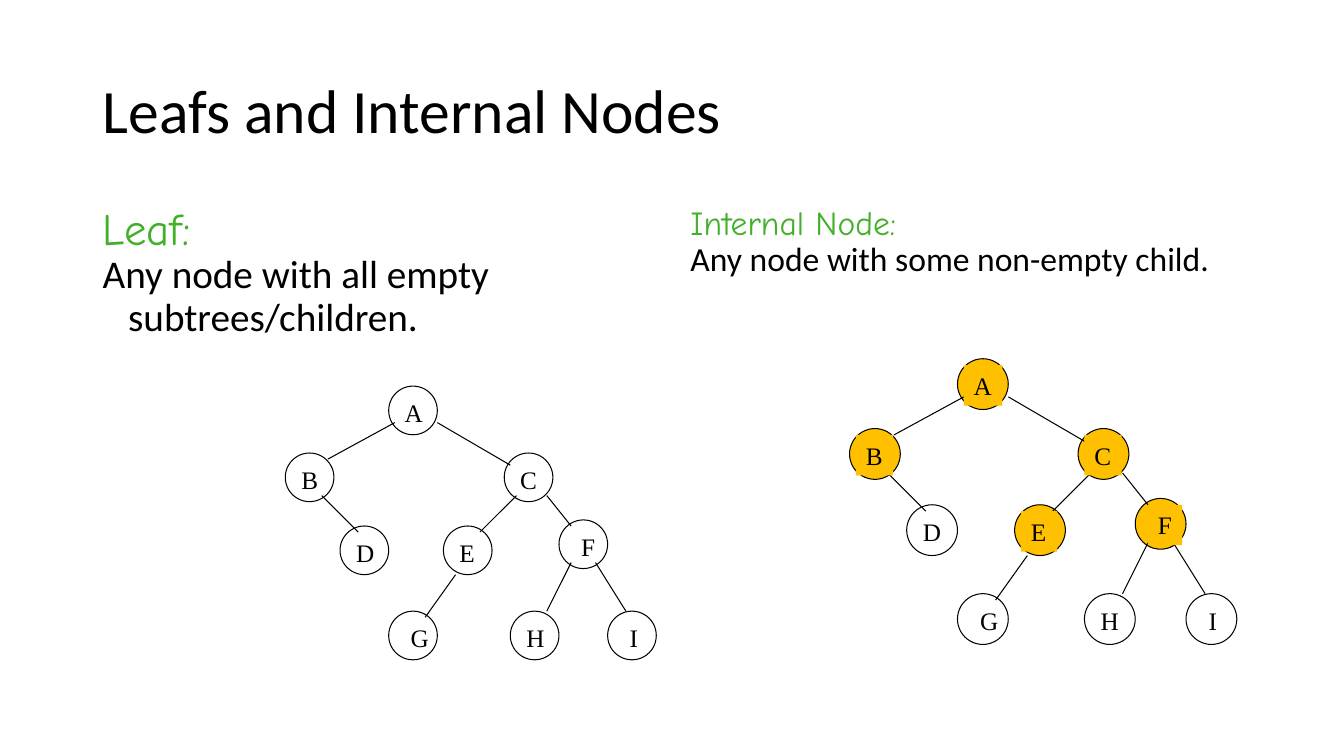
"""Build a slide comparing the leafs and the internal nodes of a binary tree."""
from lxml.etree import SubElement
from pptx import Presentation
from pptx.dml.color import RGBColor
from pptx.enum.shapes import MSO_CONNECTOR, MSO_SHAPE
from pptx.enum.text import MSO_ANCHOR, MSO_AUTO_SIZE, PP_ALIGN
from pptx.oxml.ns import qn
from pptx.util import Cm, Pt

BLACK = RGBColor(0, 0, 0)
GREEN = RGBColor(0x43, 0xB0, 0x2A)
AMBER = RGBColor(0xFF, 0xC0, 0x00)

TITLE = "Leafs and Internal Nodes"
DEFINITIONS = [
    (2.34, [("Leaf:", "Comic Neue", 32, GREEN),
            ("Any node with all empty subtrees/children.", "Calibri", 28, BLACK)]),
    (17.15, [("Internal Node:", "Comic Neue", 24, GREEN),
             ("Any node with some non-empty child.", "Calibri", 24, BLACK)]),
]

# Node positions and edge ends are grid steps from the tree's top left corner.
NODES = {
    "A": (17, 0), "E": (26, 23), "C": (36, 11), "G": (17, 37), "I": (53, 37),
    "H": (37, 37), "B": (0, 11), "D": (9, 23), "F": (45, 22),
}
EDGES = [
    (18, 6, 7, 12), (25, 6, 37, 13), (6, 18, 12, 24), (38, 18, 32, 24),
    (43, 18, 47, 23), (28, 31, 23, 38), (47, 29, 43, 37), (51, 29, 56, 37),
]
LABEL_WIDTHS = {"A": 0.97, "B": 0.94, "C": 0.94, "D": 0.97, "E": 0.91,
                "F": 0.86, "G": 0.97, "H": 0.97, "I": 0.74}
LABEL_HEIGHT = 1.02
SHIFTED_LABELS = "FGI"
NODE_STEPS = 8
TREE_STEPS = 61
TREES = [(7.19, 9.73, 9.35, ""), (21.41, 9.04, 9.76, "ABCEF")]


def style(para, font_name, size, color):
    for span in para.runs:
        span.font.name = font_name
        span.font.size = Pt(size)
        span.font.color.rgb = color


def add_text(page, left, top, width, height, lines, hanging=0):
    box = page.shapes.add_textbox(Cm(left), Cm(top), Cm(width), Cm(height))
    frame = box.text_frame
    frame.word_wrap = True
    frame.text = "\n".join(line[0] for line in lines)
    for para, (_, font_name, size, color) in zip(frame.paragraphs, lines):
        properties = para._p.get_or_add_pPr()
        properties.set("marL", str(Cm(hanging)))
        properties.set("indent", str(-Cm(hanging)))
        para.line_spacing = 0.9
        style(para, font_name, size, color)
    return frame


def add_tree(page, left, top, width, highlighted):
    step = width / TREE_STEPS
    tree = page.shapes.add_group_shape().shapes

    def place(column, row):
        return Cm(left + column * step), Cm(top + row * step)

    def paint(shape, name):
        if name in highlighted:
            shape.fill.solid()
            shape.fill.fore_color.rgb = AMBER
        else:
            shape.fill.background()

    for name, (column, row) in NODES.items():
        diameter = Cm(NODE_STEPS * step)
        node = tree.add_shape(MSO_SHAPE.OVAL, *place(column, row), diameter, diameter)
        node.shadow.inherit = False
        node.line.color.rgb = BLACK
        node.line.width = Pt(0.75)
        paint(node, name)

    for start_column, start_row, end_column, end_row in EDGES:
        edge = tree.add_connector(MSO_CONNECTOR.STRAIGHT, *place(start_column, start_row),
                                  *place(end_column, end_row))
        edge.line.color.rgb = BLACK
        edge.line.width = Pt(0.75)
        SubElement(edge._element.spPr, qn("a:effectLst"))

    for name, width_cm in LABEL_WIDTHS.items():
        column, row = NODES[name]
        shift = 2 if name in SHIFTED_LABELS else 1
        label = tree.add_textbox(*place(column + shift, row + 1),
                                 Cm(width_cm), Cm(LABEL_HEIGHT))
        paint(label, name)
        frame = label.text_frame
        frame.word_wrap = False
        frame.auto_size = MSO_AUTO_SIZE.SHAPE_TO_FIT_TEXT
        frame.text = name
        para = frame.paragraphs[0]
        para.alignment = PP_ALIGN.LEFT
        style(para, "Times New Roman", 18, BLACK)


def main():
    deck = Presentation()
    deck.slide_width, deck.slide_height = Cm(33.87), Cm(19.05)
    page = deck.slides.add_slide(deck.slide_layouts[6])
    title = add_text(page, 2.34, 1.02, 29.21, 3.68, [(TITLE, "Calibri", 44, BLACK)])
    title.vertical_anchor = MSO_ANCHOR.MIDDLE
    for left, lines in DEFINITIONS:
        add_text(page, left, 5.08, 14.4, 12.09, lines, hanging=0.64)
    for tree in TREES:
        add_tree(page, *tree)
    deck.save("out.pptx")


if __name__ == "__main__":
    main()
